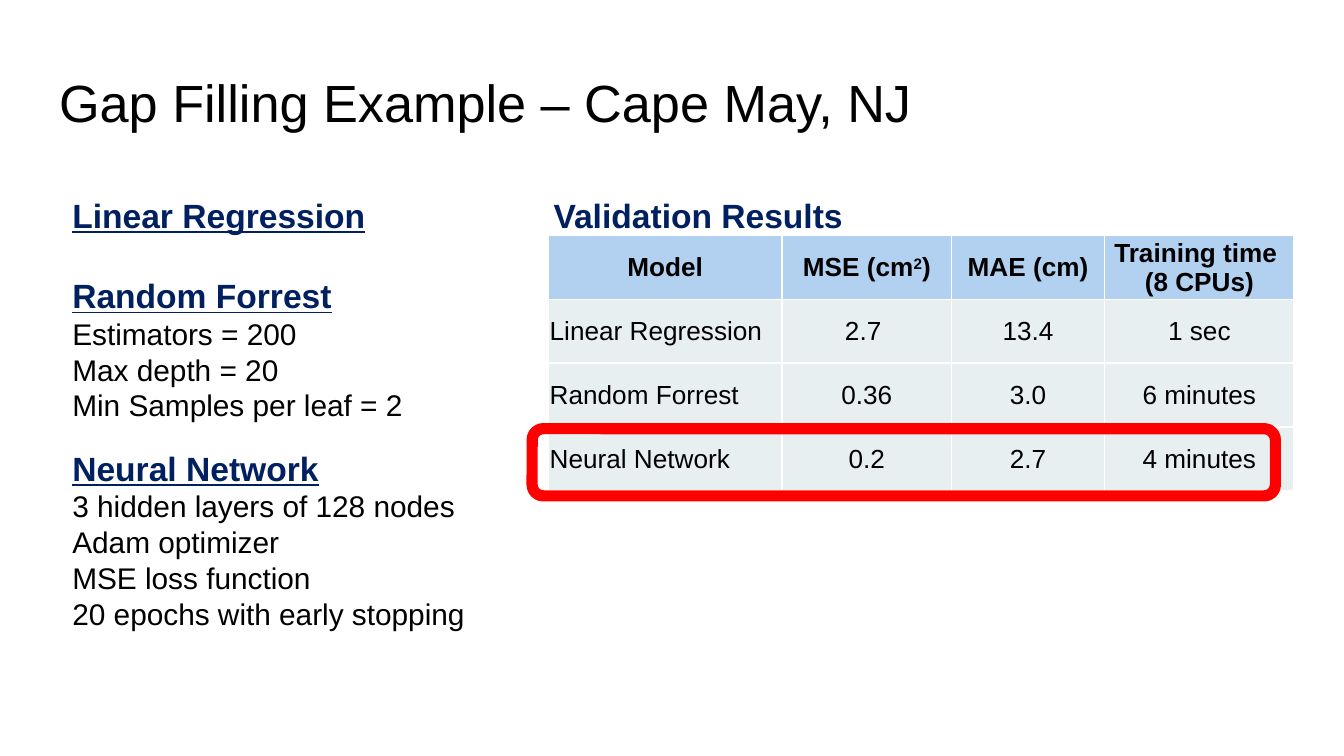
import pptx
import pptx.dml.color
import pptx.enum.shapes
import pptx.enum.text
import pptx.oxml
import pptx.oxml.ns
import pptx.util
from pptx.util import Inches

ALIGN = pptx.enum.text.PP_ALIGN
ANCHOR = pptx.enum.text.MSO_ANCHOR
HEADING = {"size": 18, "color": "002060", "bold": True}
MODEL_HEADING = {**HEADING, "underline": True}
SETTING = {"size": 16, "color": "000000", "bold": False}
RESULTS = [
    ["Model", "MSE (cm2)", "MAE (cm)", "Training time \n(8 CPUs)"],
    ["Linear Regression", "2.7 ", "13.4", "1 sec"],
    ["Random Forrest", "0.36", "3.0", "6 minutes"],
    ["Neural Network", "0.2", "2.7", "4 minutes"],
]


def rgb(value):
    """Turn a hex string into a colour."""
    return pptx.dml.color.RGBColor.from_string(value)


def format_font(font, style):
    """Apply a dict of format values to a font."""
    font.name = "Arial"
    for name, value in style.items():
        if name == "color":
            font.color.rgb = rgb(value)
        elif name == "size":
            font.size = pptx.util.Pt(value)
        else:
            setattr(font, name, value)


def add_run(paragraph, text, style):
    """Append one formatted run."""
    run = paragraph.add_run()
    run.text = text
    format_font(run.font, style)
    return run


def add_title(slide, text, box):
    """Place the slide title in the template's placeholder."""
    title = slide.shapes.title
    title.left, title.top, title.width, title.height = map(Inches, box)
    frame = title.text_frame
    frame.auto_size = pptx.enum.text.MSO_AUTO_SIZE.NONE
    frame.vertical_anchor = ANCHOR.TOP
    for side in ("left", "top", "right", "bottom"):
        setattr(frame, f"margin_{side}", Inches(0.1))
    heading = frame.paragraphs[0]
    heading.alignment = ALIGN.LEFT
    add_run(heading, text, {"size": 28, "color": "000000", "bold": False})


def add_text(slide, lines, box):
    """Place lines of (text, style, space before) in a text box."""
    frame = slide.shapes.add_textbox(*map(Inches, box)).text_frame
    frame.word_wrap = True
    for index, (text, style, gap) in enumerate(lines):
        paragraph = frame.add_paragraph() if index else frame.paragraphs[0]
        paragraph.space_before = pptx.util.Pt(gap)
        add_run(paragraph, text, style)


def model_lines(name, settings, gap=0):
    """Return a model heading followed by its settings."""
    return [(name, MODEL_HEADING, gap)] + [(text, SETTING, 0) for text in settings]


def add_borders(cell):
    """Draw thin white borders around a cell."""
    properties = cell._tc.get_or_add_tcPr()
    for index, side in enumerate("LRTB"):
        properties.insert(index, pptx.oxml.parse_xml(
            f'<a:ln{side} {pptx.oxml.ns.nsdecls("a")} w="12700"><a:solidFill>'
            f'<a:srgbClr val="FFFFFF"/></a:solidFill></a:ln{side}>'))


def fill_cell(cell, text, is_header, is_name):
    """Write and format one result cell."""
    cell.vertical_anchor = ANCHOR.MIDDLE
    for side, margin in {"left": 0.01, "top": 0.01, "right": 0.01, "bottom": 0}.items():
        setattr(cell, f"margin_{side}", Inches(margin))
    cell.fill.solid()
    cell.fill.fore_color.rgb = rgb("0066CC" if is_header else "E7EFF1")
    if is_header:
        color = cell._tc.tcPr.find(".//" + pptx.oxml.ns.qn("a:srgbClr"))
        color.append(pptx.oxml.parse_xml(
            f'<a:alpha {pptx.oxml.ns.nsdecls("a")} val="30000"/>'))
    add_borders(cell)
    style = {"size": 14, "color": "000000", "bold": is_header}
    for index, line in enumerate(text.split("\n")):
        frame = cell.text_frame
        paragraph = frame.add_paragraph() if index else frame.paragraphs[0]
        paragraph.alignment = ALIGN.LEFT if is_name and not is_header else ALIGN.CENTER
        before, unit, after = line.partition("cm2")
        if unit:
            add_run(paragraph, before + "cm", style)
            exponent = add_run(paragraph, "2", style)
            exponent.font._element.set("baseline", "30000")
            add_run(paragraph, after, style)
        else:
            add_run(paragraph, line, style)


def add_results(slide, box):
    """Place the validation table with its heading and highlighted last row."""
    left, top, width, height = box
    row_height = height / len(RESULTS)
    results = slide.shapes.add_table(
        len(RESULTS), len(RESULTS[0]), *map(Inches, box)).table
    for column, column_width in zip(results.columns, (1.74, 1.26, 1.14, 1.41)):
        column.width = Inches(column_width)
    for row, texts in enumerate(RESULTS):
        results.rows[row].height = Inches(row_height)
        for column, text in enumerate(texts):
            fill_cell(results.cell(row, column), text, row == 0, column == 0)

    highlight = slide.shapes.add_shape(
        pptx.enum.shapes.MSO_SHAPE.ROUNDED_RECTANGLE,
        *map(Inches, (left - 0.12, top + 1.44, width - 0.02, 0.5)))
    highlight.shadow.inherit = False
    highlight.fill.background()
    highlight.line.color.rgb = rgb("FF0000")
    highlight.line.width = pptx.util.Pt(6)
    add_text(slide, [("Validation Results", HEADING, 0)],
             (left - 0.06, top - 0.35, 2.49, 0.4))


def build():
    """Build and save the slide."""
    deck = pptx.Presentation()
    deck.slide_width, deck.slide_height = Inches(10), Inches(10 * 9 / 16)
    slide = deck.slides.add_slide(deck.slide_layouts[5])
    add_title(slide, "Gap Filling Example – Cape May, NJ", (0.34, 0.42, 9.32, 0.63))
    add_text(slide, model_lines("Neural Network", [
        "3 hidden layers of 128 nodes", "Adam optimizer",
        "MSE loss function", "20 epochs with early stopping"]),
        (0.44, 3.28, 5.66, 1.48))
    add_text(slide, model_lines("Linear Regression", []) + model_lines(
        "Random Forrest",
        ["Estimators = 200", "Max depth = 20", "Min Samples per leaf = 2"], 21.5),
        (0.44, 1.4, 5.66, 2.09))
    add_results(slide, (4.08, 1.75, 5.55, 1.9))
    deck.save("out.pptx")


if __name__ == "__main__":
    build()
